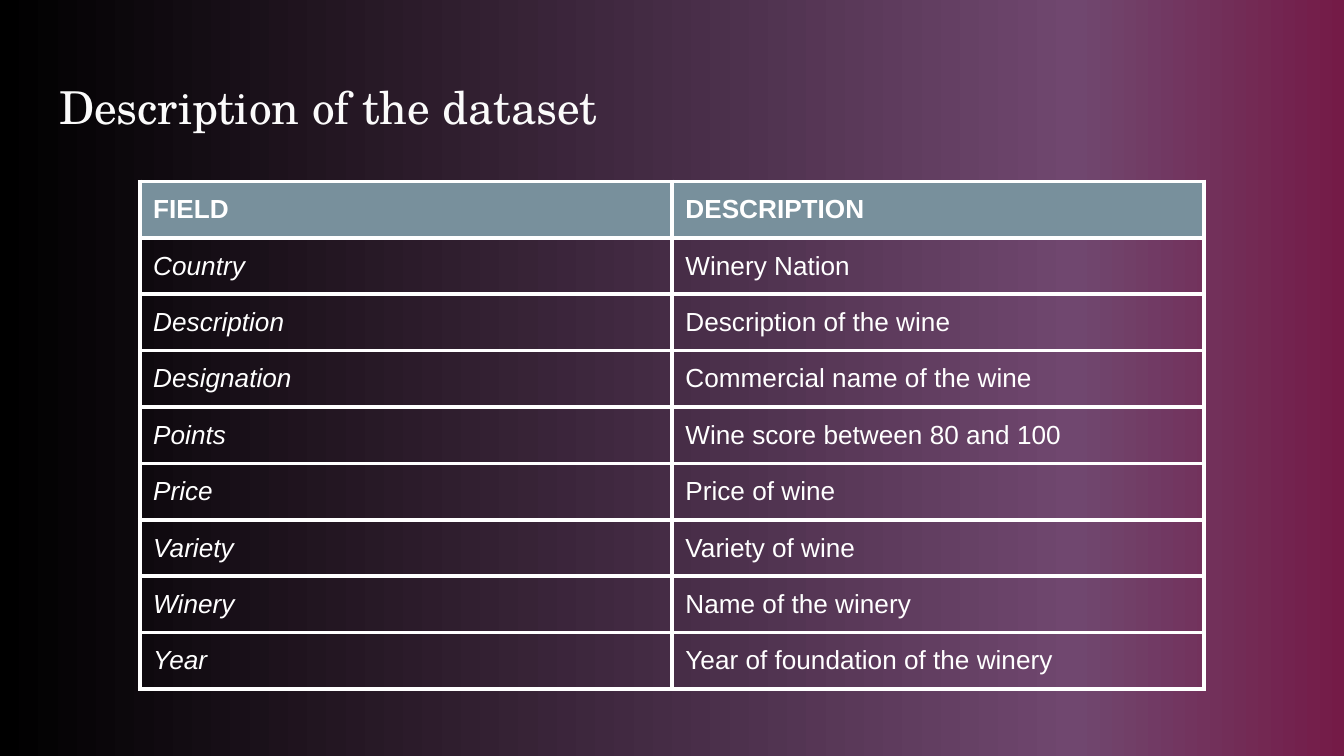
from copy import deepcopy

from lxml.etree import SubElement
from pptx import Presentation
from pptx.dml.color import RGBColor as RGB
from pptx.enum.text import MSO_ANCHOR, MSO_AUTO_SIZE, PP_ALIGN
from pptx.oxml.ns import qn
from pptx.util import Inches, Pt

TITLE = "Description of the dataset"
HEADER = ("FIELD", "DESCRIPTION")
FIELDS = [
    ("Country", "Winery Nation"),
    ("Description", "Description of the wine"),
    ("Designation", "Commercial name of the wine"),
    ("Points", "Wine score between 80 and 100"),
    ("Price", "Price of wine"),
    ("Variety", "Variety of wine"),
    ("Winery", "Name of the winery"),
    ("Year", "Year of foundation of the winery"),
]

THEME = {
    "gradient": [(0, "741B47"), (0.2, "70476F"), (1, "000000")],
    "title": {"name": "TeX Gyre Schola", "size": 24.3, "color": "FBFBFB"},
    "cell": {"name": "Arial", "size": 14, "color": "FFFFFF"},
    "header_fill": "78909C",
    "border": ("FFFFFF", 2.25),
}
SLIDE_W = Inches(10)
SLIDE_H = SLIDE_W * 9 // 16
INSET = Inches(0.1)
COL_W, ROW_H = 3.96, 0.42


def style_font(font, style, bold=False, italic=False):
    font.name, font.size = style["name"], Pt(style["size"])
    font.color.rgb = RGB.from_string(style["color"])
    font.bold, font.italic = bold, italic


def set_insets(box):
    box.margin_left = box.margin_right = INSET
    box.margin_top = box.margin_bottom = INSET
    box.vertical_anchor = MSO_ANCHOR.TOP


def set_background(slide):
    fill = slide.background.fill
    fill.gradient()
    fill.gradient_angle = 180
    stop_list = next(slide.element.iter(qn("a:gsLst")))
    stop_list.insert(1, deepcopy(stop_list[0]))
    for stop, (position, color) in zip(fill.gradient_stops, THEME["gradient"]):
        stop.position = position
        stop.color.rgb = RGB.from_string(color)


def add_borders(cell):
    """Outline all four sides; borders must precede the cell fill."""
    color, width = THEME["border"]
    tcPr = cell._tc.get_or_add_tcPr()
    for i, side in enumerate(("lnL", "lnR", "lnT", "lnB")):
        ln = SubElement(tcPr, qn(f"a:{side}"), w=str(Pt(width)))
        SubElement(SubElement(ln, qn("a:solidFill")), qn("a:srgbClr"), val=color)
        tcPr.insert(i, ln)


def add_title(slide):
    sp = slide.shapes.title
    sp.left, sp.top = Inches(0.34), Inches(0.49)
    sp.width, sp.height = Inches(9.32), Inches(0.63)
    tf = sp.text_frame
    tf.text = TITLE
    tf.auto_size = MSO_AUTO_SIZE.NONE
    set_insets(tf)
    p = tf.paragraphs[0]
    p.alignment = PP_ALIGN.LEFT
    style_font(p.runs[0].font, THEME["title"])


def add_field_table(slide):
    rows = [HEADER] + FIELDS
    n_rows, n_cols = len(rows), len(HEADER)
    table = slide.shapes.add_table(
        n_rows, n_cols, Inches(1.04), Inches(1.35),
        Inches(COL_W * n_cols), Inches(ROW_H * n_rows)).table
    for r, row in enumerate(rows):
        for c, text in enumerate(row):
            cell = table.cell(r, c)
            cell.text = text
            set_insets(cell)
            if r == 0:
                cell.fill.solid()
                cell.fill.fore_color.rgb = RGB.from_string(THEME["header_fill"])
            else:
                cell.fill.background()
            add_borders(cell)
            style_font(cell.text_frame.paragraphs[0].runs[0].font, THEME["cell"],
                       bold=r == 0, italic=r > 0 and c == 0)


def main():
    prs = Presentation()
    prs.slide_width, prs.slide_height = SLIDE_W, SLIDE_H
    slide = prs.slides.add_slide(prs.slide_layouts[5])
    set_background(slide)
    add_title(slide)
    add_field_table(slide)
    prs.save("out.pptx")


if __name__ == "__main__":
    main()
